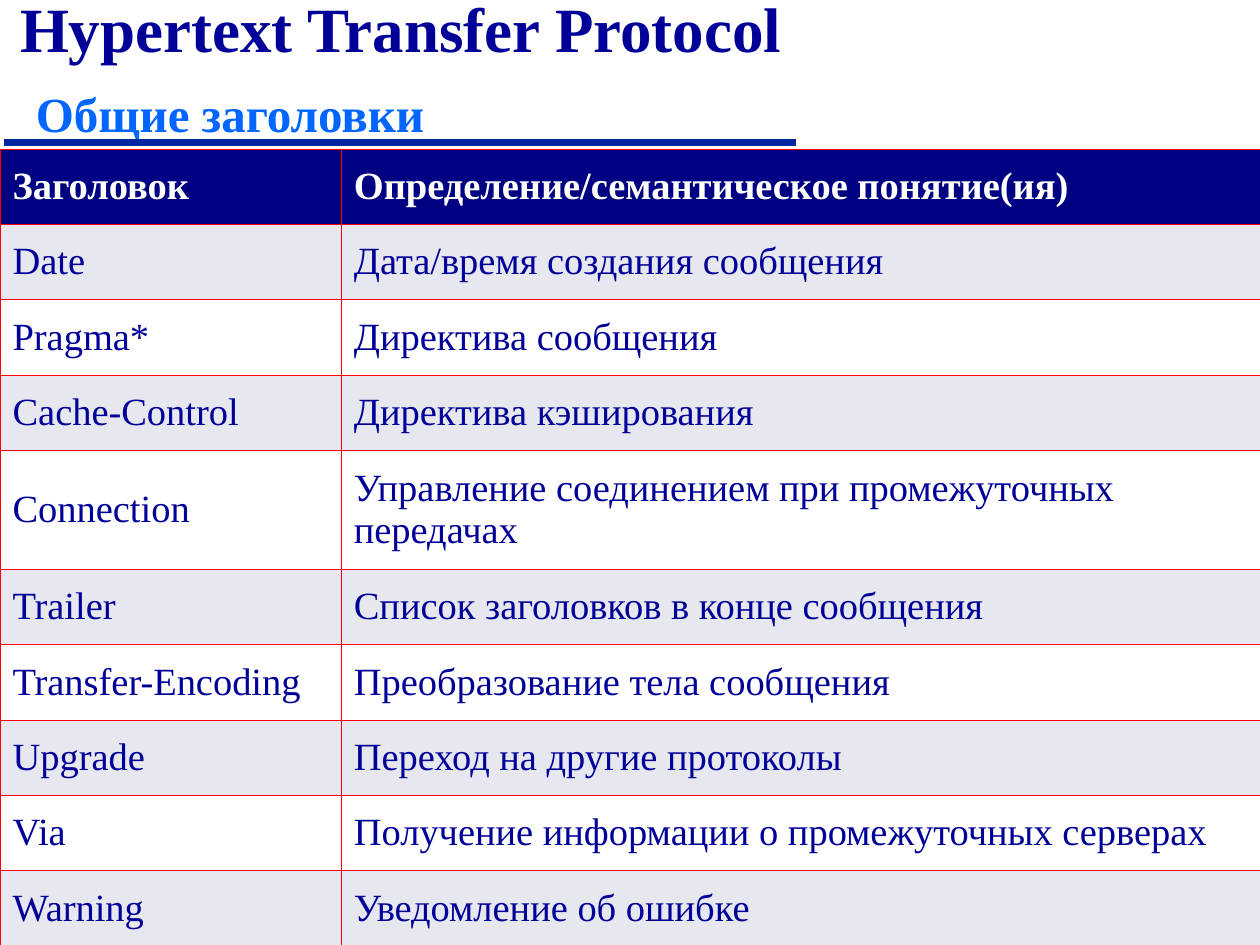
from copy import deepcopy
from dataclasses import dataclass

from lxml.etree import SubElement
from pptx import Presentation
from pptx.dml.color import RGBColor
from pptx.enum.shapes import MSO_CONNECTOR
from pptx.enum.text import MSO_ANCHOR, MSO_AUTO_SIZE, PP_ALIGN
from pptx.oxml.ns import qn
from pptx.util import Cm, Pt


@dataclass(frozen=True)
class Theme:
    font: str = "Times New Roman"
    title_size: int = 36
    subtitle_size: int = 28
    cell_size: int = 22
    text: str = "000099"
    subtitle: str = "0066FF"
    rule: str = "00279F"
    header_text: str = "FFFFFF"
    header_fill: str = "000082"
    band_fill: str = "E7E7EF"
    plain_fill: str = "FFFFFF"
    border: str = "FF0000"
    border_width: float = 0.23


HEADERS = ("Заголовок", "Определение/семантическое понятие(ия)")
GENERAL_HEADERS = [
    ("Date", "Дата/время создания сообщения"),
    ("Pragma*", "Директива сообщения"),
    ("Cache-Control", "Директива кэширования"),
    ("Connection", "Управление соединением при промежуточных передачах"),
    ("Trailer", "Список заголовков в конце сообщения"),
    ("Transfer-Encoding", "Преобразование тела сообщения"),
    ("Upgrade", "Переход на другие протоколы"),
    ("Via", "Получение информации о промежуточных серверах"),
    ("Warning", "Уведомление об ошибке"),
]
COLUMN_WIDTHS = (6.88, 18.52)
ROW_HEIGHT = 1.52
TALL_ROW, TALL_HEIGHT = 4, 2.39


def add_text(para, text, *, font, size, color, bold=False):
    span = para.add_run()
    span.text = text
    span.font.name = font
    span.font.size = Pt(size)
    span.font.bold = bold
    span.font.color.rgb = RGBColor.from_string(color)
    return span


class SlideBuilder:
    def __init__(self, page, theme):
        self.page = page
        self.theme = theme

    def rule(self, left, top, right, width):
        line = self.page.shapes.add_connector(
            MSO_CONNECTOR.STRAIGHT, Cm(left), Cm(top), Cm(right), Cm(top))
        line.line.width = Pt(width)
        line.line.color.rgb = RGBColor.from_string(self.theme.rule)
        SubElement(line._element.spPr, qn("a:effectLst"))

    def title(self, heading, subtitle, left, top, width, height):
        theme = self.theme
        box = self.page.shapes.title
        box.left, box.top, box.width, box.height = map(Cm, (left, top, width, height))
        frame = box.text_frame
        frame.auto_size = MSO_AUTO_SIZE.NONE
        frame.vertical_anchor = MSO_ANCHOR.BOTTOM
        para = frame.paragraphs[0]
        para.alignment = PP_ALIGN.LEFT
        para.line_spacing = 1.05
        large = dict(font=theme.font, size=theme.title_size, color=theme.text, bold=True)
        span = add_text(para, heading, **large)
        # The line break takes the heading's size
        para.add_line_break()
        para._p[-1].append(deepcopy(span._r.rPr))
        add_text(para, " ", **large)
        add_text(para, subtitle, font=theme.font, size=theme.subtitle_size,
                 color=theme.subtitle, bold=True)

    def table(self, rows, left, top, widths, heights):
        frame = self.page.shapes.add_table(
            len(rows), len(widths), Cm(left), Cm(top), Cm(sum(widths)), Cm(sum(heights)))
        grid = frame.table
        for column, width in zip(grid.columns, widths):
            column.width = Cm(width)
        for row, height in zip(grid.rows, heights):
            row.height = Cm(height)
        for r, values in enumerate(rows):
            for c, value in enumerate(values):
                self.cell(grid.cell(r, c), value, r)

    def cell(self, cell, value, row):
        theme = self.theme
        header = row == 0
        cell.vertical_anchor = MSO_ANCHOR.MIDDLE
        add_text(cell.text_frame.paragraphs[0], value, font=theme.font,
                 size=theme.cell_size, bold=header,
                 color=theme.header_text if header else theme.text)
        # Borders come before the fill in the cell properties
        for side in ("lnL", "lnR", "lnT", "lnB"):
            edge = SubElement(cell._tc.get_or_add_tcPr(), qn(f"a:{side}"),
                              w=str(Pt(theme.border_width)))
            paint = SubElement(edge, qn("a:solidFill"))
            SubElement(paint, qn("a:srgbClr"), val=theme.border)
        band = theme.band_fill if row % 2 else theme.plain_fill
        cell.fill.solid()
        cell.fill.fore_color.rgb = RGBColor.from_string(
            theme.header_fill if header else band)


def main():
    deck = Presentation()
    deck.slide_width, deck.slide_height = Cm(25.4), Cm(19.05)
    title_only = deck.slide_layouts[5]
    builder = SlideBuilder(deck.slides.add_slide(title_only), Theme())

    # Heading and the rule under it
    builder.rule(0.08, 2.87, 16.05, 4)
    builder.title("Hypertext Transfer Protocol", "Общие заголовки", 0.15, 0, 22.45, 3.05)

    # General headers
    rows = [HEADERS, *GENERAL_HEADERS]
    heights = [TALL_HEIGHT if r == TALL_ROW else ROW_HEIGHT for r in range(len(rows))]
    builder.table(rows, 0, 3, COLUMN_WIDTHS, heights)

    deck.save("out.pptx")


if __name__ == "__main__":
    main()
